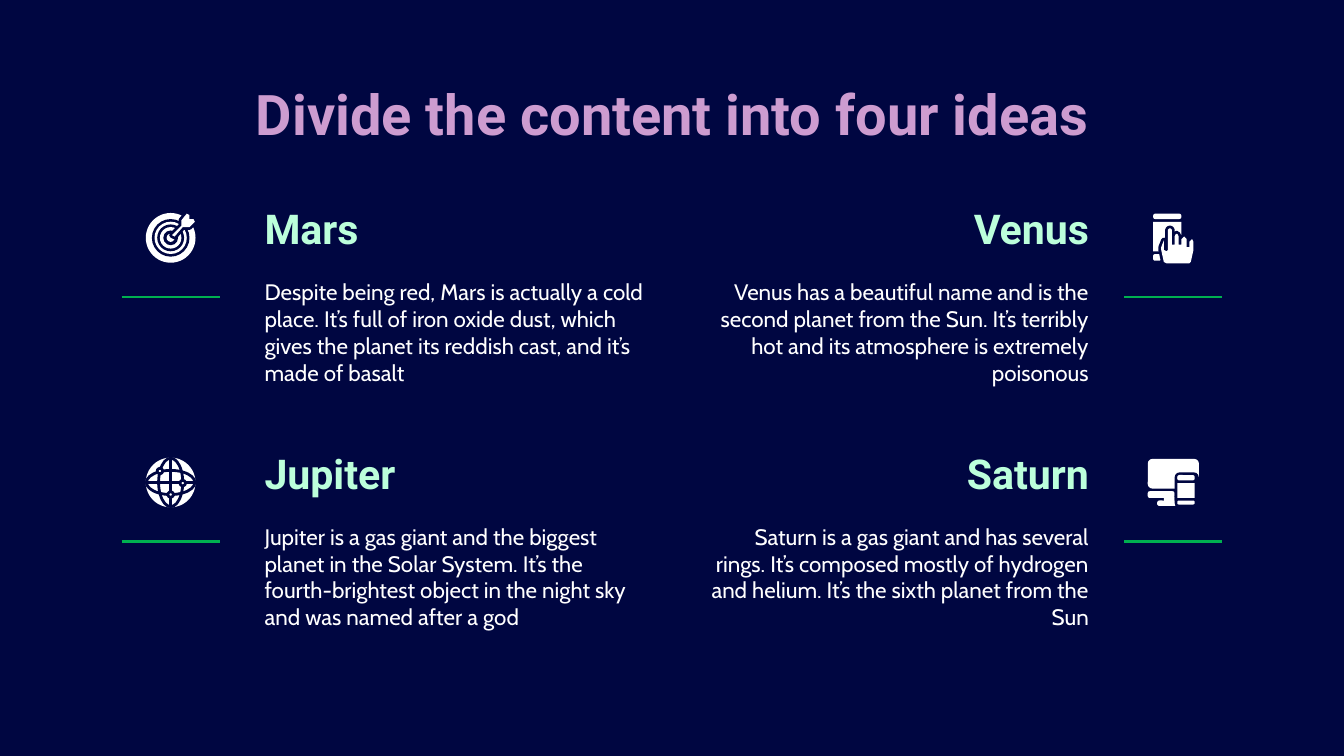
from dataclasses import dataclass

from lxml.etree import SubElement as sub
from pptx import Presentation
from pptx.dml.color import RGBColor as Rgb
from pptx.enum.shapes import MSO_CONNECTOR as Link, MSO_SHAPE as Kind
from pptx.enum.text import MSO_ANCHOR as Anchor, PP_ALIGN as Align
from pptx.oxml.ns import qn
from pptx.util import Inches, Pt


@dataclass(frozen=True)
class Theme:
    back: str = "000641"
    ink: str = "FFFFFF"
    rule: str = "00B050"
    title: tuple = ("CD9CD0", "9CCAED")
    head: tuple = ("BCFFDB", "9CCAED")
    big: int = 30
    mid: int = 22
    small: int = 12
    display: str = "Roboto"
    text: str = "Cabin"
    thin: float = 1.5
    halo: float = 3


T = Theme()
WIDE = 10
HIGH = WIDE * 9 / 16

# Grid: two rows, mirrored text columns and icon columns
ROWS = (1.46, 3.28)
TEXT_X, TEXT_W = (1.87, 5.15), 3.05
ICON_X, ICON_Y = (1.27, 8.73), 0.31
HEAD_H, BODY_Y, BODY_H = 0.52, 0.51, 0.97
RULE_Y, RULE_W = 0.75, 0.73

IDEAS = [
    (0, 0, "Mars", "Despite being red, Mars is actually a cold place. It’s full of "
     "iron oxide dust, which gives the planet its reddish cast, and it’s made of basalt"),
    (0, 1, "Venus", "Venus has a beautiful name and is the second planet from the Sun. "
     "It’s terribly hot and its atmosphere is extremely poisonous"),
    (1, 0, "Jupiter", "Jupiter is a gas giant and the biggest planet in the Solar System. "
     "It’s the fourth-brightest object in the night sky and was named after a god"),
    (1, 1, "Saturn", "Saturn is a gas giant and has several rings. It’s composed mostly of "
     "hydrogen and helium. It’s the sixth planet from the Sun"),
]

# Icon outlines, in hundredths of an inch from the icon's centre
ARROW = [(1, -2), (8, -9), (8, -13), (12, -18), (14, -17), (14, -14), (17, -14),
         (18, -12), (14, -8), (9, -8), (3, -1)]
HAND = [(-4, -6), (-3, -7), (-2, -7), (-1, -6), (-1, 5), (1, 5), (1, -1), (2, -3),
        (3, -3), (4, -1), (4, 5), (6, 5), (6, 1), (8, -1), (10, 1), (10, 7), (12, 7),
        (12, 3), (14, 1), (15, 3), (15, 9), (13, 18), (12, 19), (-5, 19), (-7, 18),
        (-9, 9), (-9, 7), (-7, 2), (-7, 9), (-5, 10), (-4, 9)]


def paint(font, fill):
    if isinstance(fill, str):
        font.color.rgb = Rgb.from_string(fill)
        return
    font.fill.gradient()
    font.fill.gradient_angle = 0
    for stop, tone in zip(font.fill.gradient_stops, fill):
        stop.color.rgb = Rgb.from_string(tone)
        stop.position = float(tone == fill[-1])


def write(slide, words, box, face, size, fill, align, anchor=Anchor.TOP, bold=False):
    frame = slide.shapes.add_textbox(*map(Inches, box)).text_frame
    frame.word_wrap = True
    frame.vertical_anchor = anchor
    frame.margin_left = frame.margin_right = Inches(0.1)
    frame.margin_top = frame.margin_bottom = Inches(0.1)
    para = frame.paragraphs[0]
    para.text, para.alignment = words, align
    font = para.font
    font.name, font.size, font.bold = face, Pt(size), bold
    paint(font, fill)


def line(shapes, start, end, tone):
    bar = shapes.add_connector(Link.STRAIGHT, *map(Inches, start + end))
    bar.line.color.rgb, bar.line.width = Rgb.from_string(tone), Pt(T.thin)
    sub(bar._element.spPr, qn("a:effectLst"))


class Icon:
    """A group of plain shapes placed around one centre."""

    def __init__(self, slide, x, y):
        self.shapes = slide.shapes.add_group_shape().shapes
        self.x, self.y = x, y

    def at(self, x, y):
        return self.x + x / 100, self.y + y / 100

    def style(self, shape, fill, edge=0):
        shape.shadow.inherit = False
        if fill:
            shape.fill.solid()
            shape.fill.fore_color.rgb = Rgb.from_string(fill)
        else:
            shape.fill.background()
        if edge:
            shape.line.color.rgb, shape.line.width = Rgb.from_string(T.back), Pt(edge)
        else:
            shape.line.fill.background()

    def oval(self, rx, ry, fill, edge=0, x=0, y=0):
        box = (*self.at(x - rx, y - ry), rx / 50, ry / 50)
        self.style(self.shapes.add_shape(Kind.OVAL, *map(Inches, box)), fill, edge)

    def block(self, left, top, right, low, fill=T.ink, curve=0.0):
        box = (*self.at(left, top), (right - left) / 100, (low - top) / 100)
        kind = Kind.ROUNDED_RECTANGLE if curve else Kind.RECTANGLE
        shape = self.shapes.add_shape(kind, *map(Inches, box))
        if curve:
            shape.adjustments[0] = curve
        self.style(shape, fill)

    def cutout(self, points):
        """A white outline with a margin in the background colour."""
        spots = [tuple(map(Inches, self.at(*p))) for p in points]
        for fill, edge in ((T.back, T.halo), (T.ink, 0)):
            form = self.shapes.build_freeform(*spots[0])
            form.add_line_segments(spots[1:])
            self.style(form.convert_to_shape(), fill, edge)


def target(icon):
    for i, r in enumerate((18.5, 14, 12, 10, 8, 5.5, 3)):
        icon.oval(r, r, T.back if i % 2 else T.ink)
    icon.cutout(ARROW)


def phone(icon):
    icon.block(-15, -18, 6, -14, curve=0.4)
    icon.block(-15, -12, 6, 10)
    icon.block(-15, 12, -9, 17, curve=0.3)
    icon.cutout(HAND)


def globe(icon):
    icon.oval(18.5, 18.5, T.ink)
    for rx, ry in ((9, 18), (18, 9)):
        icon.oval(rx, ry, None, T.thin)
    for end in ((18.5, 0), (0, 18.5)):
        line(icon.shapes, icon.at(-end[0], -end[1]), icon.at(*end), T.back)
    for x, y in ((-8, -8.5), (9, 0.5), (0, 9)):
        icon.oval(2, 2, T.ink, T.thin, x, y)


def screen(icon):
    icon.block(-19, -17.5, 19, 4.5, curve=0.15)
    icon.block(-19, 6.5, 1, 11.5, curve=0.3)
    icon.block(-7, 11, 1, 15)
    icon.block(-12, 13.5, 3, 17.5, curve=0.4)
    icon.block(1, -7.5, 19, 19, T.back, 0.2)
    icon.block(3, -5.5, 16, -1.5, curve=0.4)
    icon.block(3, 0.5, 16, 11.5)
    icon.block(3, 13.5, 16, 16.5, curve=0.4)


def idea(slide, row, col, name, words, draw):
    top, left, mid = ROWS[row], TEXT_X[col], ICON_X[col]
    side = (Align.LEFT, Align.RIGHT)[col]
    write(slide, name, (left, top, TEXT_W, HEAD_H), T.display, T.mid, T.head,
          side, Anchor.BOTTOM, True)
    write(slide, words, (left, top + BODY_Y, TEXT_W, BODY_H), T.text, T.small, T.ink, side)
    draw(Icon(slide, mid, top + ICON_Y))
    y = top + RULE_Y
    line(slide.shapes, (mid - RULE_W / 2, y), (mid + RULE_W / 2, y), T.rule)


def main():
    deck = Presentation()
    deck.slide_width, deck.slide_height = Inches(WIDE), Inches(HIGH)
    slide = deck.slides.add_slide(deck.slide_layouts[6])
    slide.background.fill.solid()
    slide.background.fill.fore_color.rgb = Rgb.from_string(T.back)

    # Title
    write(slide, "Divide the content into four ideas", (0.79, 0.49, 8.43, 0.63),
          T.display, T.big, T.title, Align.CENTER, bold=True)

    # Four ideas, each with its icon
    for item, draw in zip(IDEAS, (target, phone, globe, screen)):
        idea(slide, *item, draw)
    deck.save("out.pptx")


if __name__ == "__main__":
    main()
